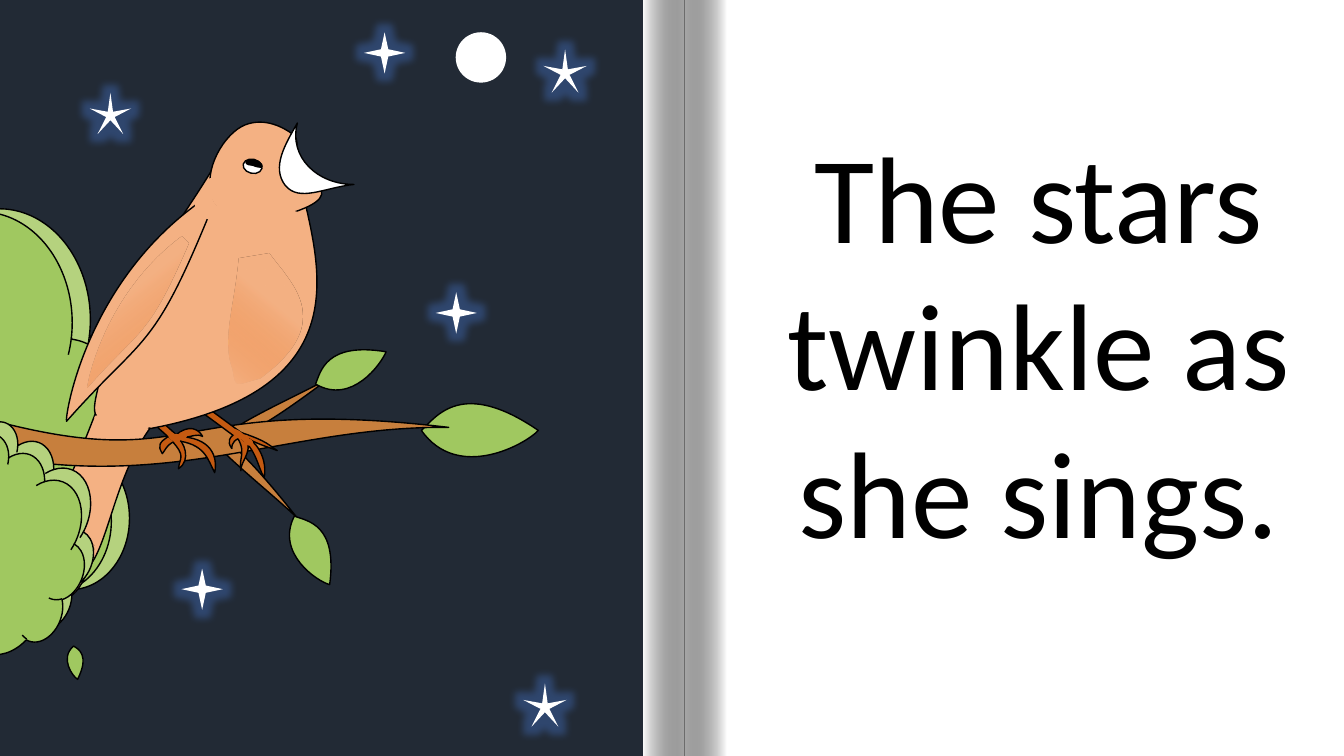
from lxml import etree
from pptx import Presentation
from pptx.dml.color import RGBColor
from pptx.enum.shapes import MSO_SHAPE
from pptx.enum.text import MSO_AUTO_SIZE, PP_ALIGN
from pptx.oxml import parse_xml
from pptx.oxml.ns import nsdecls, qn
from pptx.util import Pt

PX = 9144  # 100 px to the inch
SLIDE = (0, 0, 1333, 750)
COLORS = {
    "black": "000000", "white": "FFFFFF", "night": "222A35", "glow": "4472C4",
    "leaf": "A0C860", "leaf_edge": "B5D27E", "wood": "C77F3D",
    "feather": "F4B183", "blush": "ED7D31", "claw": "C55A11",
}


def rgb(color):
    return RGBColor.from_string(COLORS[color])


def paint(shape, fill, line=None):
    shape.shadow.inherit = False
    shape.fill.solid()
    shape.fill.fore_color.rgb = rgb(fill)
    if line:
        shape.line.color.rgb = rgb(line)
        shape.line.width = Pt(1)
    else:
        shape.line.fill.background()
    return shape


def fade(shape, angle, start, end, alpha, hold=0):
    """Fill with a gradient whose end colour has the given opacity in percent."""
    gradient = parse_xml(
        f'<a:gradFill {nsdecls("a")} rotWithShape="1"><a:gsLst>'
        f'<a:gs pos="{hold * 1000}"><a:srgbClr val="{COLORS[start]}"/></a:gs>'
        f'<a:gs pos="100000"><a:srgbClr val="{COLORS[end]}">'
        f'<a:alpha val="{alpha * 1000}"/></a:srgbClr></a:gs>'
        f'</a:gsLst><a:lin ang="{angle * 60000}" scaled="0"/></a:gradFill>')
    properties = shape._element.spPr
    properties.replace(properties.find(qn("a:solidFill")), gradient)


def add_preset(slide, box, kind, place, fill, line=None, turn=0):
    x, y, width, height = place
    shape = slide.shapes.add_shape(
        kind, (box[0] + x) * PX, (box[1] + y) * PX, width * PX, height * PX)
    shape.rotation = turn
    return paint(shape, fill, line)


def curve_points(start, segment, steps=24):
    """Points along a cubic curve, or the end of a straight segment."""
    if len(segment) == 2:
        return [segment]
    a, b, c = segment[:2], segment[2:4], segment[4:]
    ts = [step / steps for step in range(1, steps + 1)]
    return [tuple((1 - t) ** 3 * start[i] + 3 * t * (1 - t) ** 2 * a[i]
                  + 3 * t * t * (1 - t) * b[i] + t ** 3 * c[i] for i in (0, 1)) for t in ts]


def add_outline(slide, box, outline, fill, line="black"):
    """Closed outline: a start point, then line ends (2 numbers) or curves (6)."""
    def emu(x, y):
        return round((box[0] + x) * PX), round((box[1] + y) * PX)

    start, *segments = outline
    extent, here = [], start
    for segment in segments:
        extent += curve_points(here, segment)
        here = segment[-2:]
    builder = slide.shapes.build_freeform(*emu(*start))
    builder.add_line_segments([emu(*point) for point in extent], close=True)
    shape = builder.convert_to_shape()

    geometry = shape._element.xpath(".//a:path")[0]
    for node in list(geometry)[1:]:
        geometry.remove(node)
    for segment in segments:
        tag = "a:lnTo" if len(segment) == 2 else "a:cubicBezTo"
        command = etree.SubElement(geometry, qn(tag))
        for x, y in zip(segment[::2], segment[1::2]):
            left, top = emu(x, y)
            etree.SubElement(command, qn("a:pt"),
                             x=str(left - shape.left), y=str(top - shape.top))
    etree.SubElement(geometry, qn("a:close"))
    return paint(shape, fill, line)


def add_bush(slide, box, back, front, turn=0):
    for place, fill in ((back, "leaf_edge"), (front, "leaf")):
        cloud = add_preset(slide, box, MSO_SHAPE.CLOUD, place, fill, "black", turn)
        cloud._element.spPr.find(qn("a:xfrm")).set("flipH", "1")


def add_tail(slide, box):
    add_outline(slide, box, [(188, 376), (123, 369), (103, 444, 37, 572, 63, 593),
                             (99, 596, 105, 434, 188, 376)], "feather")
    add_outline(slide, box, [(209, 378), (111, 358), (96, 430, 23, 546, 65, 572),
                             (120, 582, 97, 420, 209, 378)], "feather")
    tip = add_outline(slide, box, [
        (94, 542), (93, 536, 62, 528, 58, 532), (53, 536, 58, 564, 68, 566),
        (78, 569, 90, 558, 94, 542)], "feather", None)
    fade(tip, 106, "feather", "blush", 0, 38)


def add_branch(slide, box):
    twigs = [
        [(327, 375), (298, 391, 248, 413, 227, 429), (228, 430, 233, 433, 234, 434),
         (260, 426, 312, 386, 327, 375)],
        [(295, 514), (271, 491, 228, 457, 211, 437), (212, 436, 218, 435, 219, 433),
         (243, 448, 283, 499, 295, 514)]]
    end_leaf = [(534, 427), (458, 375, 433, 413, 418, 427), (454, 478, 521, 441, 534, 427)]
    bough = [(445, 424), (122, 386, 216, 499, -123, 381), (-123, 394, -118, 406, -122, 419),
             (132, 515, 256, 422, 445, 424)]
    twig_leaves = [
        [(327, 580), (335, 520, 305, 517, 292, 512), (273, 549, 315, 577, 327, 580)],
        [(383, 349), (323, 339, 318, 369, 313, 381), (349, 402, 378, 361, 383, 349)]]
    for twig in twigs:
        add_outline(slide, box, twig, "wood")
    add_outline(slide, box, end_leaf, "leaf")
    add_outline(slide, box, bough, "wood")
    for leaf in twig_leaves:
        add_outline(slide, box, leaf, "leaf")


def add_bird(slide, box):
    for place, turn in (((208, 380, 7, 66), 306.4), ((147, 381, 7, 66), 311.9)):
        add_preset(slide, box, MSO_SHAPE.RECTANGLE, place, "claw", "black", turn)
    add_outline(slide, box, [(174, 432), (176, 435), (194, 433, 194, 430, 201, 433),
                             (197, 426, 188, 420, 174, 432)], "claw")
    body = [(295, 165), (223, 147), (167, 245, 106, 304, 99, 378),
            (87, 425, 92, 414, 150, 425), (375, 382, 308, 244, 295, 165)]
    head = [(295, 160), (291, 150, 299, 139, 290, 133), (282, 127, 263, 116, 243, 124),
            (223, 132, 200, 169, 211, 196), (221, 222, 265, 217, 279, 214),
            (292, 211, 317, 203, 319, 193), (321, 182, 300, 170, 295, 160)]
    beak = [(351, 183), (322, 186, 297, 201, 283, 184), (269, 166, 283, 143, 295, 122),
            (286, 156, 315, 183, 351, 183)]
    eyelid = [(260, 165), (260, 163, 257, 159, 251, 159), (245, 158, 244, 160, 244, 161),
              (244, 163, 248, 164, 251, 164), (253, 165, 260, 167, 260, 165)]
    wing = [(207, 214), (196, 202), (83, 284, 64, 416, 66, 418), (142, 332, 151, 351, 207, 214)]
    add_outline(slide, box, body, "feather")
    add_outline(slide, box, head, "feather")
    add_outline(slide, box, beak, "white")
    add_preset(slide, box, MSO_SHAPE.OVAL, (241, 158, 19, 14), "white", "black", 13.1)
    add_outline(slide, box, eyelid, "black")
    add_outline(slide, box, wing, "feather")
    add_claws(slide, box)
    for place, turn in (((191, 203, 24, 12), 40.5), ((239, 207, 66, 23), 0),
                        ((195, 191, 66, 23), 48.7), ((93, 413, 55, 12), 10.5)):
        add_preset(slide, box, MSO_SHAPE.OVAL, place, "feather", turn=turn)
    breast_blush = [(267, 252), (237, 257), (233, 304, 220, 337, 231, 366),
                    (234, 386, 234, 381, 258, 375), (335, 319, 286, 279, 267, 252)]
    wing_blush = [(187, 242), (180, 235), (102, 293, 86, 383, 87, 384),
                  (140, 324, 146, 337, 187, 242)]
    for blush, angle in ((breast_blush, 130), (wing_blush, 52)):
        fade(add_outline(slide, box, blush, "feather", None), angle, "feather", "blush", 0, 38)
    knuckles = [((233, 423, 7, 16), 305.9), ((169, 427, 7, 14), 305.9),
                ((172, 429, 7, 10), 285.4), ((178, 428, 7, 8), 285.4),
                ((240, 431, 7, 8), 285.4), ((243, 434, 7, 9), 285.4), ((172, 435, 3, 4), 285.4)]
    for place, turn in knuckles:
        add_preset(slide, box, MSO_SHAPE.OVAL, place, "claw", turn=turn)


def add_claws(slide, box):
    claws = [
        [(174, 433), (173, 437), (204, 440, 206, 456, 213, 469), (216, 454, 211, 433, 174, 433)],
        [(174, 433), (170, 437), (185, 453, 178, 454, 177, 465), (190, 457, 183, 437, 174, 433)],
        [(239, 429), (231, 428), (247, 448, 236, 453, 239, 467), (238, 457, 256, 444, 239, 429)],
        [(239, 429), (236, 431), (264, 444, 262, 442, 275, 447), (267, 442, 266, 438, 239, 429)],
        [(236, 428), (237, 435), (229, 438, 230, 445, 230, 445), (225, 438, 227, 434, 236, 428)],
        [(167, 433), (173, 438), (165, 441, 162, 450, 161, 450), (156, 442, 158, 439, 167, 433)],
        [(241, 432), (233, 431), (254, 442, 255, 462, 262, 474), (265, 459, 258, 439, 241, 432)]]
    for claw in claws:
        add_outline(slide, box, claw, "claw")


def add_sky_lights(slide, box):
    five, four = MSO_SHAPE.STAR_5_POINT, MSO_SHAPE.STAR_4_POINT
    for kind, x, y, size in ((five, 539, 49, 43), (five, 89, 92, 41), (four, 361, 32, 41),
                             (four, 432, 290, 41), (four, 180, 564, 41), (five, 519, 678, 43)):
        star = add_preset(slide, box, kind, (x, y, size, size), "white")
        if kind == five:
            star.adjustments[0] = 0.103
        star._element.spPr.find(qn("a:effectLst")).append(parse_xml(
            f'<a:glow {nsdecls("a")} rad="139700"><a:srgbClr val="{COLORS["glow"]}">'
            '<a:alpha val="40000"/></a:srgbClr></a:glow>'))
    add_preset(slide, box, MSO_SHAPE.FLOWCHART_CONNECTOR, (452, 32, 50, 50), "white")


def add_night_page(slide, box):
    add_preset(slide, box, MSO_SHAPE.RECTANGLE, (-29, 0, box[2] + 29, 775), "night", "night")
    add_bush(slide, box, (-437, 160, 578, 517), (-455, 163, 578, 517))
    add_outline(slide, box, [(77, 674), (89, 650, 78, 644, 73, 641),
                             (59, 653, 72, 671, 77, 674)], "leaf")
    add_tail(slide, box)
    add_branch(slide, box)
    add_bush(slide, box, (-119, 420, 214, 218), (-128, 432, 214, 218), 21.5)
    add_bird(slide, box)
    add_sky_lights(slide, box)


def add_gutter(slide, box):
    half = box[2] // 2
    for x, angle in ((half, 180), (0, 0)):
        shade = add_preset(slide, box, MSO_SHAPE.RECTANGLE, (x, 0, half, box[3]), "white")
        fade(shade, angle, "white", "black", 34)


def add_story_text(slide, box):
    frame = slide.shapes.add_textbox(*(length * PX for length in box)).text_frame
    frame.word_wrap = True
    frame.auto_size = MSO_AUTO_SIZE.SHAPE_TO_FIT_TEXT
    sentence = frame.paragraphs[0]
    sentence.text = "The stars twinkle as she sings."
    sentence.alignment = PP_ALIGN.CENTER
    sentence.font.name = "Calibri"
    sentence.font.size = Pt(88)
    sentence.font.color.rgb = rgb("black")


def main():
    book = Presentation()
    book.slide_width, book.slide_height = SLIDE[2] * PX, SLIDE[3] * PX
    spread = book.slides.add_slide(book.slide_layouts[6])
    spread.background.fill.solid()
    spread.background.fill.fore_color.rgb = rgb("black")
    add_preset(spread, SLIDE, MSO_SHAPE.RECTANGLE, SLIDE, "white")
    add_gutter(spread, (637, 0, 84, 750))
    add_story_text(spread, (716, 114, 628, 454))
    add_night_page(spread, (0, 0, 637, 750))
    book.save("out.pptx")


if __name__ == "__main__":
    main()
